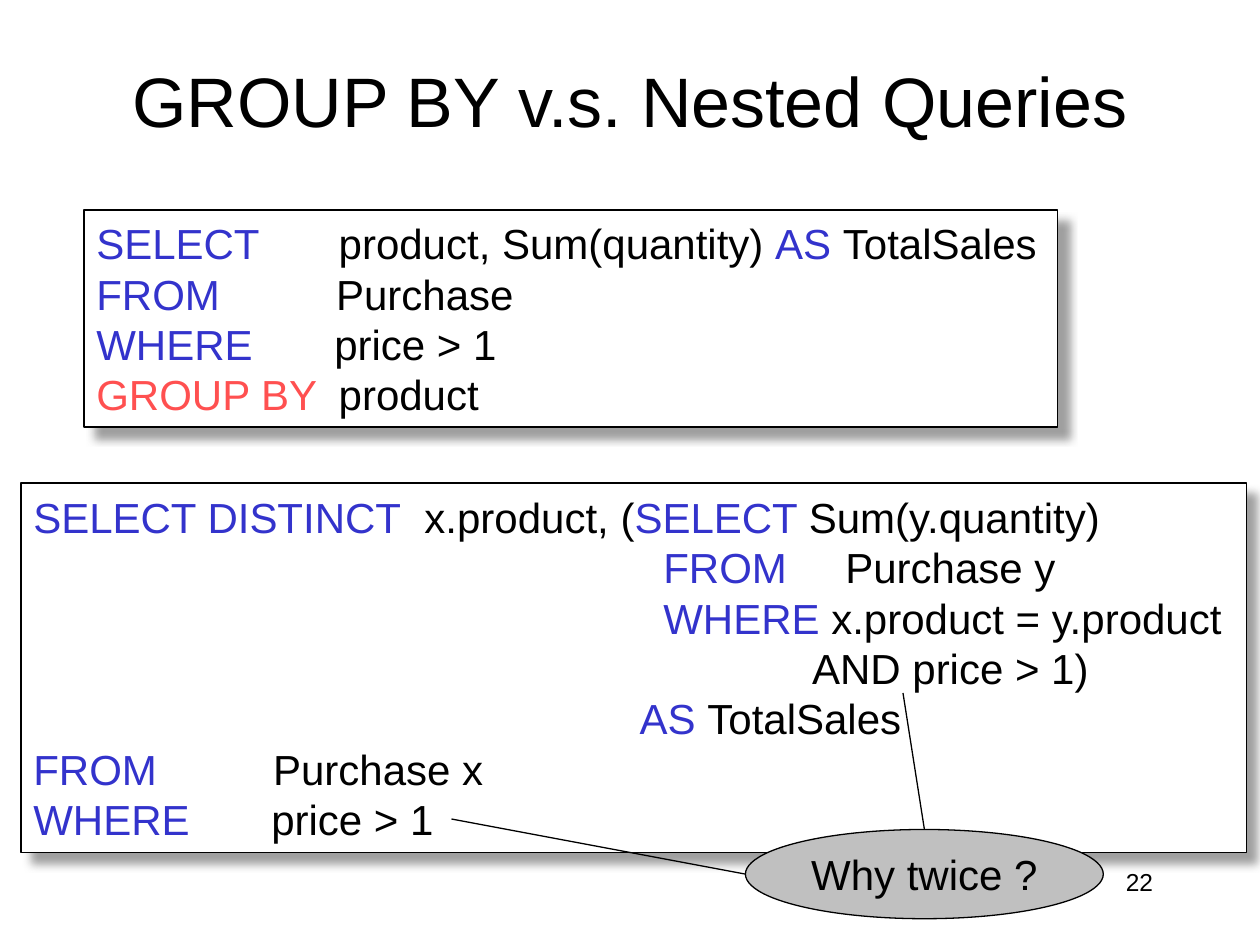
from dataclasses import dataclass

from lxml.etree import SubElement
from pptx import Presentation
from pptx.dml.color import RGBColor
from pptx.enum.shapes import MSO_CONNECTOR as Connector, MSO_SHAPE as Preset
from pptx.enum.text import MSO_ANCHOR as Anchor, PP_ALIGN as Align
from pptx.oxml.ns import qn
from pptx.util import Pt


@dataclass(frozen=True)
class Theme:
    font: str = "Arial"
    ink: str = "000000"
    keyword: str = "3333CC"
    grouping: str = "FF5050"
    paper: str = "FFFFFF"
    bubble: str = "C0C0C0"
    shade: str = "808080"
    title_size: int = 40
    text_size: int = 24
    number_size: int = 14
    leading: float = 28.8
    rule: float = 0.75


THEME = Theme()
INK, KEY, GROUP = THEME.ink, THEME.keyword, THEME.grouping

GROUPED_QUERY = [
    ((138.5,), [("SELECT", KEY), ("\tproduct, Sum(quantity) ", INK),
                ("AS ", KEY), ("TotalSales", INK)]),
    ((137,), [("FROM", KEY), ("\tPurchase", INK)]),
    ((136,), [("WHERE", KEY), ("\tprice > 1", INK)]),
    ((138.5,), [("GROUP BY", GROUP), ("\tproduct", INK)]),
]
NESTED_QUERY = [
    ((223.5,), [("SELECT DISTINCT", KEY), ("\tx.product, (", INK),
                ("SELECT ", KEY), ("Sum(y.quantity)", INK)]),
    ((360, 464), [("\tFROM", KEY), ("\tPurchase y", INK)]),
    ((360,), [("\tWHERE ", KEY), ("x.product = y.product", INK)]),
    ((445,), [("\tAND price > 1)", INK)]),
    ((346.5,), [("\tAS ", KEY), ("TotalSales", INK)]),
    ((137,), [("FROM", KEY), ("\tPurchase x", INK)]),
    ((136,), [("WHERE", KEY), ("\tprice > 1", INK)]),
]


def apply(target, values):
    for name, value in values.items():
        setattr(target, name, value)


def points(*lengths):
    return [Pt(length) for length in lengths]


def write(para, text, size, color=INK):
    span = para.add_run()
    span.text = text
    apply(span.font, {"name": THEME.font, "size": Pt(size)})
    span.font.color.rgb = RGBColor.from_string(color)


def draw_line(line):
    line.color.rgb = RGBColor.from_string(INK)
    line.width = Pt(THEME.rule)


def add_panel(page, preset, box, fill):
    panel = page.shapes.add_shape(preset, *points(*box))
    panel.shadow.inherit = False
    panel.fill.solid()
    panel.fill.fore_color.rgb = RGBColor.from_string(fill)
    draw_line(panel.line)
    return panel


def cast_shadow(shape):
    effects = shape._element.spPr.find(qn("a:effectLst"))
    shadow = SubElement(effects, qn("a:outerShdw"), blurRad=str(Pt(5)),
                        dist=str(Pt(8.5)), dir="2700000", algn="ctr", rotWithShape="0")
    color = SubElement(shadow, qn("a:srgbClr"), val=THEME.shade)
    SubElement(color, qn("a:alpha"), val="75000")


def set_tabs(para, stops):
    tabs = SubElement(para._p.get_or_add_pPr(), qn("a:tabLst"))
    for stop in stops:
        SubElement(tabs, qn("a:tab"), pos=str(Pt(stop)), algn="l")


def place_title(page, box, text):
    title = page.shapes.title
    apply(title, dict(zip(("left", "top", "width", "height"), points(*box))))
    title.text_frame.vertical_anchor = Anchor.MIDDLE
    para = title.text_frame.paragraphs[0]
    para.alignment = Align.CENTER
    write(para, text, THEME.title_size)


def place_query(page, box, lines):
    panel = add_panel(page, Preset.RECTANGLE, box, THEME.paper)
    cast_shadow(panel)
    frame = panel.text_frame
    apply(frame, {"word_wrap": True, "vertical_anchor": Anchor.MIDDLE})
    for index, (stops, spans) in enumerate(lines):
        para = frame.add_paragraph() if index else frame.paragraphs[0]
        apply(para, {"alignment": Align.LEFT, "line_spacing": Pt(THEME.leading)})
        set_tabs(para, stops)
        for text, color in spans:
            write(para, text, THEME.text_size, color)


def place_question(page, box, text, side_target, top_target):
    left, top, width, height = box
    bubble = add_panel(page, Preset.OVAL, box, THEME.bubble)
    apply(bubble.text_frame, {"word_wrap": False, "vertical_anchor": Anchor.MIDDLE})
    para = bubble.text_frame.paragraphs[0]
    para.alignment = Align.CENTER
    write(para, text, THEME.text_size)
    anchors = (((left, top + height / 2), side_target),
               ((left + width / 2, top), top_target))
    for start, end in anchors:
        pointer = page.shapes.add_connector(Connector.STRAIGHT, *points(*start, *end))
        draw_line(pointer.line)
        SubElement(pointer._element.spPr, qn("a:effectLst"))


def place_number(page, box, text):
    frame = page.shapes.add_textbox(*points(*box)).text_frame
    frame.word_wrap = True
    para = frame.paragraphs[0]
    para.alignment = Align.RIGHT
    write(para, text, THEME.number_size)


def main():
    deck = Presentation()
    apply(deck, {"slide_width": Pt(720), "slide_height": Pt(540)})
    page = deck.slides.add_slide(deck.slide_layouts[5])
    place_title(page, (54, 12, 612, 90), "GROUP BY v.s. Nested Queries")
    place_query(page, (48, 120, 556.5, 124), GROUPED_QUERY)
    place_query(page, (12, 276, 700.5, 211), NESTED_QUERY)
    place_question(page, (426, 474, 204.5, 51), "Why twice ?", (258, 468), (516, 396))
    place_number(page, (516, 492, 150, 36), "22")
    deck.save("out.pptx")


if __name__ == "__main__":
    main()
